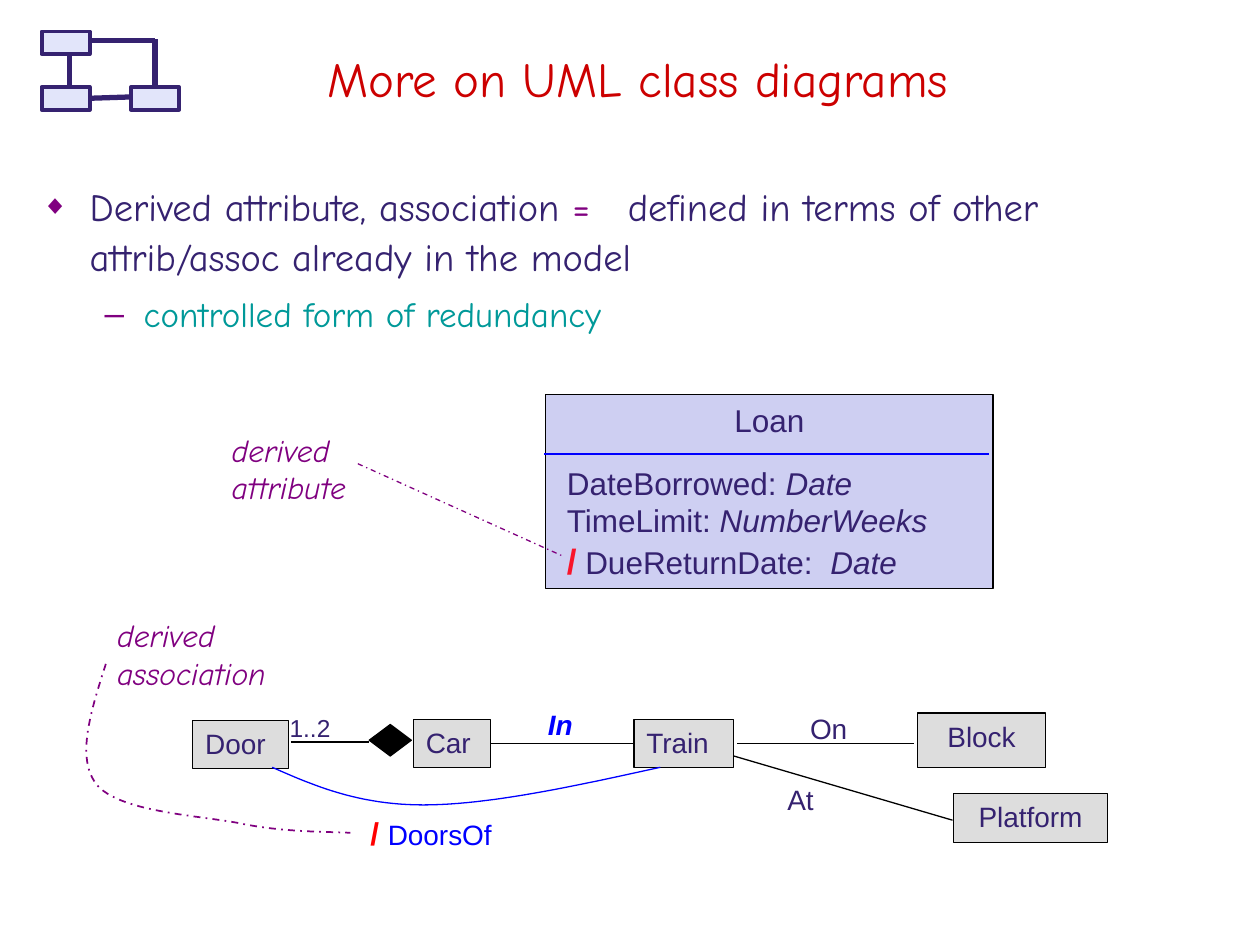
from dataclasses import dataclass

from lxml import etree
from pptx import Presentation
from pptx.dml.color import RGBColor
from pptx.enum.dml import MSO_LINE
from pptx.enum.shapes import MSO_CONNECTOR, MSO_SHAPE
from pptx.enum.text import MSO_ANCHOR, MSO_AUTO_SIZE, PP_ALIGN
from pptx.oxml.ns import qn
from pptx.util import Pt

RECT, GEM = MSO_SHAPE.RECTANGLE, MSO_SHAPE.FLOWCHART_DECISION
STRAIGHT, DASH = MSO_CONNECTOR.STRAIGHT, MSO_LINE.DASH_DOT
LEFT, CENTER = PP_ALIGN.LEFT, PP_ALIGN.CENTER
TOP, MIDDLE = MSO_ANCHOR.TOP, MSO_ANCHOR.MIDDLE
FIXED = MSO_AUTO_SIZE.NONE

BLACK = RGBColor(0x00, 0x00, 0x00)
NAVY = RGBColor(0x35, 0x22, 0x70)
BLUE = RGBColor(0x00, 0x00, 0xFF)
PURPLE = RGBColor(0x80, 0x00, 0x80)
TEAL = RGBColor(0x00, 0x99, 0x99)
CRIMSON = RGBColor(0xCC, 0x00, 0x00)
SCARLET = RGBColor(0xF9, 0x15, 0x2B)
RED = RGBColor(0xFF, 0x00, 0x00)
LILAC = RGBColor(0xCE, 0xCF, 0xF2)
PALE = RGBColor(0xE2, 0xE5, 0xFA)
GRAY = RGBColor(0xDD, 0xDD, 0xDD)
SANS, COMIC = "Arial", "Comic Neue"


@dataclass
class Run:
    text: str
    size: float = 16
    color: RGBColor = NAVY
    name: str = SANS
    bold: bool = False
    italic: bool = False


@dataclass
class Box:
    at: tuple
    fill: RGBColor = GRAY
    edge: RGBColor = BLACK
    width: float = 0.75
    kind: int = RECT
    lines: tuple = ()
    align: int = LEFT


@dataclass
class Link:
    start: tuple
    end: tuple
    color: RGBColor = BLACK
    width: float = 0.75
    dash: int | None = None


@dataclass
class Label:
    at: tuple
    lines: tuple


@dataclass
class Curve:
    nodes: tuple  # a start point, then three points for each Bezier piece
    color: RGBColor
    width: float
    dash: int | None = None


def add_run(para, run: Run) -> None:
    part = para.add_run()
    part.text = run.text
    form = {"size": Pt(run.size), "name": run.name,
            "bold": run.bold, "italic": run.italic}
    for key, value in form.items():
        setattr(part.font, key, value)
    part.font.color.rgb = run.color


def write(frame, lines: tuple, align=LEFT, anchor=TOP) -> None:
    form = {"word_wrap": True, "auto_size": FIXED, "vertical_anchor": anchor}
    for key, value in form.items():
        setattr(frame, key, value)
    for i, runs in enumerate(lines):
        para = frame.add_paragraph() if i else frame.paragraphs[0]
        para.alignment = align
        for run in runs:
            add_run(para, run)


def place(shape, at: tuple) -> None:
    for key, value in zip(("left", "top", "width", "height"), at):
        setattr(shape, key, Pt(value))


def stroke(line, color: RGBColor, width: float, dash=None) -> None:
    line.color.rgb, line.width = color, Pt(width)
    if dash is not None:
        line.dash_style = dash


def draw_box(shapes, box: Box) -> None:
    shape = shapes.add_shape(box.kind, *map(Pt, box.at))
    shape.shadow.inherit = False
    shape.fill.solid()
    shape.fill.fore_color.rgb = box.fill
    stroke(shape.line, box.edge, box.width)
    if box.lines:
        write(shape.text_frame, box.lines, box.align)


def draw_link(shapes, link: Link) -> None:
    line = shapes.add_connector(STRAIGHT, *map(Pt, link.start + link.end))
    etree.SubElement(line._element.spPr, qn("a:effectLst"))
    stroke(line.line, link.color, link.width, link.dash)


def draw_label(shapes, label: Label) -> None:
    write(shapes.add_textbox(*map(Pt, label.at)).text_frame, label.lines)


def draw_curve(shapes, curve: Curve, steps: int = 24) -> None:
    nodes = curve.nodes
    points = []
    for k in range(0, len(nodes) - 1, 3):
        for t in (n / steps for n in range(1, steps + 1)):
            s = 1 - t
            mix = (s**3, 3 * s * s * t, 3 * s * t * t, t**3)
            points.append(tuple(
                Pt(sum(m * p[axis] for m, p in zip(mix, nodes[k:k + 4])))
                for axis in (0, 1)))
    pen = shapes.build_freeform(*map(Pt, nodes[0]))
    pen.add_line_segments(points, close=False)
    shape = pen.convert_to_shape()
    shape.shadow.inherit = False
    shape.fill.background()
    stroke(shape.line, curve.color, curve.width, curve.dash)


def set_bullet(para, char: str, left: float, hang: float, scale: int, tab=None) -> None:
    props = para._p.get_or_add_pPr()
    props.set("marL", str(Pt(left)))
    props.set("indent", str(-Pt(hang)))
    tint = etree.SubElement(props, qn("a:buClr"))
    etree.SubElement(tint, qn("a:srgbClr"), val=str(PURPLE))
    etree.SubElement(props, qn("a:buSzPct"), val=str(scale * 1000))
    etree.SubElement(props, qn("a:buFont"), typeface=SANS)
    etree.SubElement(props, qn("a:buChar"), char=char)
    if tab:
        stops = etree.SubElement(props, qn("a:tabLst"))
        etree.SubElement(stops, qn("a:tab"), pos=str(Pt(tab)), algn="l")
    para.line_spacing = 1.1


def note(text: str) -> tuple:
    return ((Run(text, 18, PURPLE, COMIC, italic=True),),)


def word(text: str, size: float = 16) -> tuple:
    return ((Run(text, size),),)


def field(name: str, kind: str) -> tuple:
    return Run(name, 18), Run(kind, 18, italic=True)


# Class box, nodes and icon
LOAN = Box((311.8, 225.4, 255.6, 110.9), LILAC, lines=word("Loan", 18), align=CENTER)
NODES = (
    Box((362.2, 411, 57, 27.4), lines=word("Train")),
    Box((524.2, 407.5, 73.4, 31), lines=word("Block"), align=CENTER),
    Box((545, 453.6, 87.8, 28), lines=word("Platform"), align=CENTER),
    Box((110.2, 411.8, 54.7, 27.4), lines=word("Door")),
    Box((236.2, 411, 43.9, 27.4), lines=word("Car")),
    Box((211, 414, 24, 18), BLACK, kind=GEM),
)
ICON = [Box((x, y, 27.4, 13), PALE, NAVY, 2.25)
        for x, y in ((23.8, 18), (74.9, 49.7), (23.8, 49.7))]
WIRES = [Link(a, b, NAVY, 3) for a, b in (
    ((50.4, 56.2), (74.9, 55.4)), ((88.6, 49), (88.6, 22.3)),
    ((51.8, 23), (88.6, 23)), ((39.6, 50.4), (39.6, 30.2)))]

# Links, curves and labels
LINKS = (
    Link((311, 259.4), (565.2, 259.4), BLUE),
    Link((204.5, 265), (322.6, 318.2), PURPLE, dash=DASH),
    Link((277.2, 424.8), (365, 424.8)),
    Link((416.9, 431.3), (544.3, 468.7)),
    Link((421.2, 424.8), (522, 424.8)),
    Link((166.3, 424), (211, 424)),
)
CURVES = (
    Curve(((155.5, 438.5), (180, 449.3), (205.2, 460), (241.9, 460),
           (279.4, 460), (328.3, 449.3), (377.3, 438.5)), BLUE, 0.75),
    Curve(((60.5, 379.4), (51.8, 406.8), (43.2, 433.4), (55.4, 448.6),
           (68.4, 463.7), (110.9, 465.8), (135.4, 470.2),
           (159.1, 475.2), (179.3, 475.2), (200.2, 475.9)), PURPLE, 1, DASH),
)
LABELS = (
    Label((316.8, 261.4, 251.3, 55.4), (
        field("DateBorrowed: ", "Date"),
        field("TimeLimit: ", "NumberWeeks"),
        (Run("/", 20, SCARLET, bold=True),) + field(" DueReturnDate:", "  Date"))),
    Label((125.3, 242.6, 108.7, 53.3), note("derived attribute")),
    Label((59.8, 348.5, 108.7, 53.3), note("derived association")),
    Label((442.8, 443.5, 49, 30.2), word("At")),
    Label((455.8, 403.2, 46.8, 30.2), word("On")),
    Label((306, 401, 46.8, 30.2), ((Run("In", 16, BLUE, bold=True, italic=True),),)),
    Label((158.4, 403.9, 40.3, 25.2), word("1..2", 14)),
    Label((204.5, 461.5, 92.9, 30.2),
          ((Run("/ ", 18, RED, bold=True), Run("DoorsOf", 16, BLUE)),)),
)


def main() -> None:
    deck = Presentation()
    deck.slide_width, deck.slide_height = Pt(720), Pt(540)
    slide = deck.slides.add_slide(deck.slide_layouts[1])
    shapes = slide.shapes

    # Title and list
    title, body = shapes.title, slide.placeholders[1]
    place(title, (23.8, 14.4, 681.1, 59.8))
    write(title.text_frame, ((Run("More on UML class diagrams", 28, CRIMSON, COMIC),),),
          CENTER, MIDDLE)
    place(body, (16.6, 96.5, 690.5, 100))
    write(body.text_frame, (
        (Run("Derived attribute, association ", 22, NAVY, COMIC),
         Run("=", 22, PURPLE, COMIC),
         Run("\tdefined in terms of other attrib/assoc already in the model",
             22, NAVY, COMIC)),
        (Run("controlled form of redundancy", 20, TEAL, COMIC),)), anchor=MIDDLE)
    first, second = body.text_frame.paragraphs
    second.level = 1
    set_bullet(first, "◆", 27.4, 27.4, 70, tab=335)
    set_bullet(second, "–", 58.3, 22.3, 100)
    first.space_before, second.space_before = Pt(0), Pt(5)

    # Diagram, from back to front
    draw_box(shapes, LOAN)
    for draw, items in ((draw_link, LINKS), (draw_box, NODES), (draw_curve, CURVES),
                        (draw_label, LABELS), (draw_box, ICON), (draw_link, WIRES)):
        for item in items:
            draw(shapes, item)
    deck.save("out.pptx")


if __name__ == "__main__":
    main()
